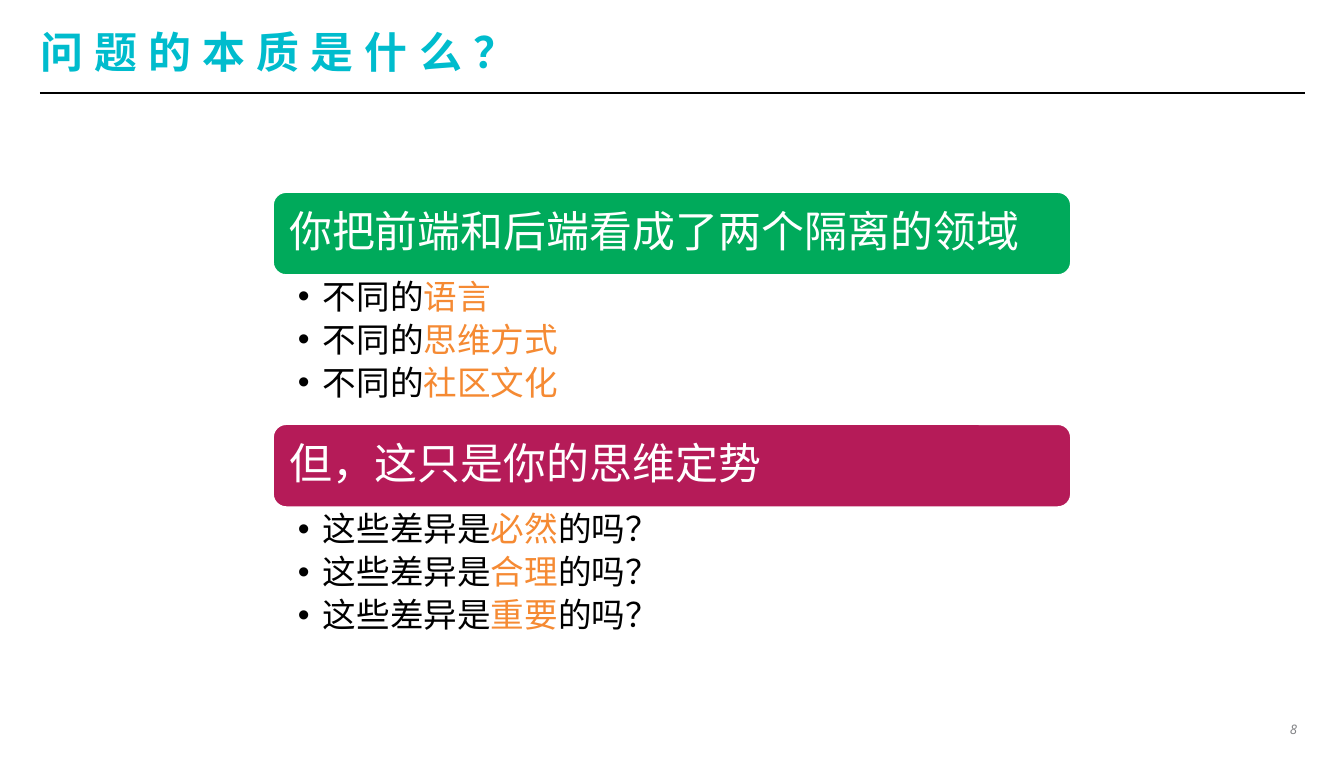
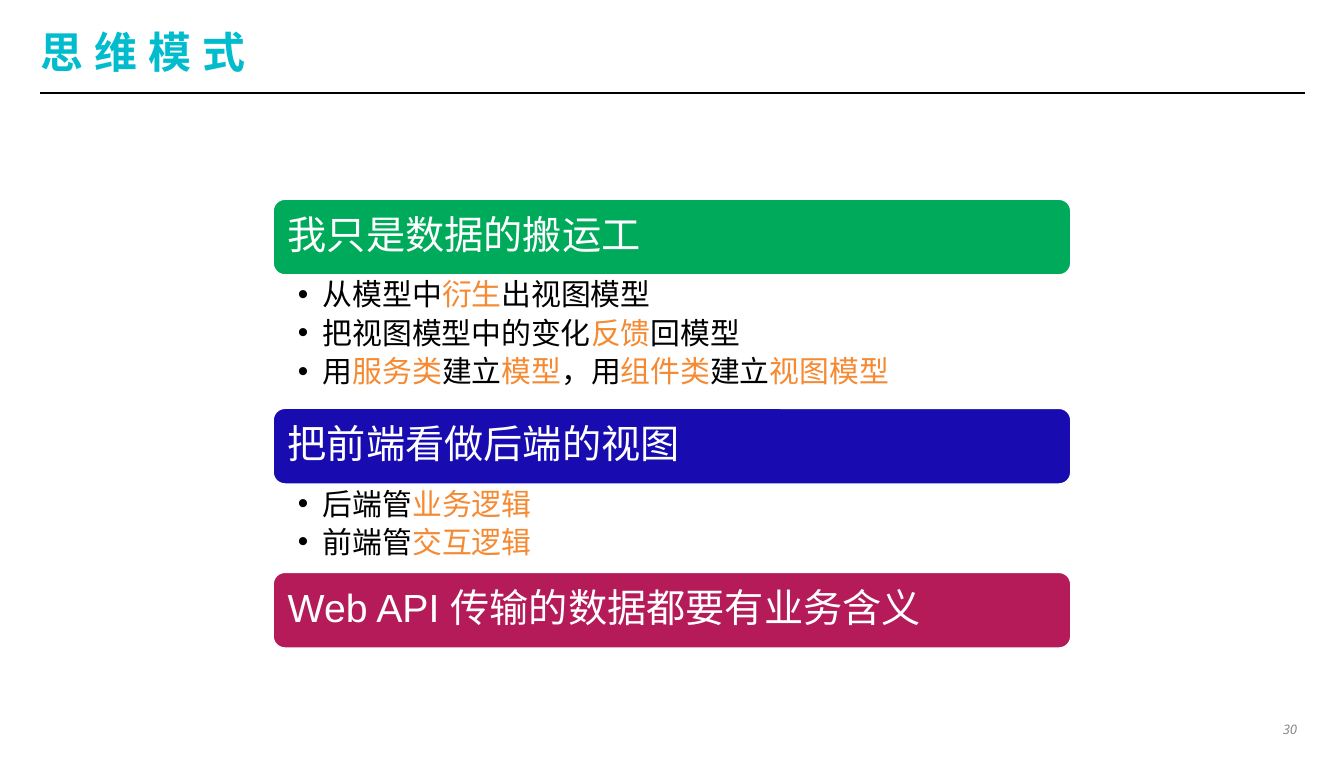
from lxml.etree import SubElement
from pptx import Presentation
from pptx.dml.color import RGBColor
from pptx.enum.shapes import MSO_CONNECTOR, MSO_SHAPE
from pptx.enum.text import MSO_ANCHOR, PP_ALIGN
from pptx.oxml.ns import qn
from pptx.util import Inches, Pt

TEAL = RGBColor(0x00, 0xBC, 0xCD)
GREEN = RGBColor(0x00, 0xAA, 0x5B)
BLUE = RGBColor(0x18, 0x0C, 0xB1)
MAGENTA = RGBColor(0xB5, 0x1B, 0x58)
ORANGE = RGBColor(0xF5, 0x8A, 0x33)
GRAY = RGBColor(0x80, 0x81, 0x84)
BLACK = RGBColor(0x00, 0x00, 0x00)
WHITE = RGBColor(0xFF, 0xFF, 0xFF)

SLIDES = [
    {
        "title": "问题的本质是什么？", "number": "8",
        "top": 191, "bar": 85, "bar_size": 23, "bar_inset": 13,
        "list_size": 18,
        "sections": [
            ("你把前端和后端看成了两个隔离的领域", GREEN, 147,
             ["不同的*语言*", "不同的*思维方式*", "不同的*社区文化*"]),
            ("但，这只是你的思维定势", MAGENTA, 147,
             ["这些差异是*必然*的吗？", "这些差异是*合理*的吗？",
              "这些差异是*重要*的吗？"]),
        ],
    },
    {
        "title": "思维模式", "number": "30",
        "top": 198, "bar": 78, "bar_size": 21, "bar_inset": 12,
        "list_size": 16,
        "sections": [
            ("我只是数据的搬运工", GREEN, 131,
             ["从模型中*衍生*出视图模型", "把视图模型中的变化*反馈*回模型",
              "用*服务类*建立*模型*，用*组件类*建立*视图模型*"]),
            ("把前端看做后端的视图", BLUE, 86,
             ["后端管*业务逻辑*", "前端管*交互逻辑*"]),
            ("Web API 传输的数据都要有业务含义", MAGENTA, 0, []),
        ],
    },
]

LEFT, BODY_WIDTH = 272, 800
INDENT = 25
TITLE_FONT = "Noto Sans CJK JP"
TITLE = {"name": TITLE_FONT, "size": Pt(23), "bold": True}
NUMBER = {"name": "Open Sans", "size": Pt(7), "italic": True}


def px(n):
    return round(n * 914400 / 134.4)


def add_run(p, text, color, fmt):
    r = p.add_run()
    r.text = text
    for key, value in fmt.items():
        setattr(r.font, key, value)
    r.font.color.rgb = color
    r.font._element.set("lang", "zh-CN")
    return r


def set_frame(tf, insets, anchor=MSO_ANCHOR.TOP):
    sides = ("left", "top", "right", "bottom")
    for side, inset in zip(sides, insets):
        setattr(tf, f"margin_{side}", px(inset))
    tf.vertical_anchor = anchor
    tf.word_wrap = True


def add_text(s, box, insets, **frame):
    tf = s.shapes.add_textbox(*map(px, box)).text_frame
    set_frame(tf, insets, **frame)
    return tf


def add_header(s, title, number):
    rule = s.shapes.add_connector(
        MSO_CONNECTOR.STRAIGHT, px(40), px(93), px(1305), px(93))
    rule.line.color.rgb = BLACK
    rule.line.width = Pt(1)
    SubElement(rule._element.spPr, qn("a:effectLst"))

    tf = add_text(s, (40, 23, 1265, 56), (0, 0, 0, 0),
                  anchor=MSO_ANCHOR.MIDDLE)
    r = add_run(tf.paragraphs[0], title, TEAL, TITLE)
    rPr = r.font._element
    rPr.set("spc", "600")
    SubElement(rPr, qn("a:ea"), typeface=TITLE_FONT)

    tf = add_text(s, (1277, 717, 28, 23), (0, 4, 8, 4))
    p = tf.paragraphs[0]
    p.alignment = PP_ALIGN.RIGHT
    add_run(p, number, GRAY, NUMBER)


def add_bar(s, top, text, color, slide):
    sp = s.shapes.add_shape(
        MSO_SHAPE.ROUNDED_RECTANGLE,
        *map(px, (LEFT, top, BODY_WIDTH, slide["bar"])))
    sp.shadow.inherit = False
    sp.fill.solid()
    sp.fill.fore_color.rgb = color
    sp.line.color.rgb = WHITE
    sp.line.width = Pt(2)
    set_frame(sp.text_frame, [slide["bar_inset"]] * 4, MSO_ANCHOR.MIDDLE)
    p = sp.text_frame.paragraphs[0]
    p.alignment = PP_ALIGN.LEFT
    p.line_spacing = 0.9
    add_run(p, text, WHITE, {"name": "Arial", "size": Pt(slide["bar_size"])})


def add_list(s, top, height, items, size):
    tf = add_text(s, (LEFT, top, BODY_WIDTH, height), (26, 4, 24, 4))
    for i, item in enumerate(items):
        p = tf.add_paragraph() if i else tf.paragraphs[0]
        p.level = 1
        pPr = p._p.get_or_add_pPr()
        pPr.set("marL", str(px(INDENT)))
        pPr.set("indent", str(-px(INDENT)))
        SubElement(pPr, qn("a:buFont"), typeface="Arial")
        SubElement(pPr, qn("a:buChar"), char="•")
        p.line_spacing = 0.9
        p.space_after = Pt(size * 0.2)
        for j, part in enumerate(item.split("*")):
            if part:
                add_run(p, part, ORANGE if j % 2 else BLACK,
                        {"name": "Arial", "size": Pt(size)})


def main():
    prs = Presentation()
    prs.slide_width, prs.slide_height = Inches(10), Inches(5.63)
    for slide in SLIDES:
        s = prs.slides.add_slide(prs.slide_layouts[6])
        add_header(s, slide["title"], slide["number"])
        top = slide["top"]
        for heading, color, height, items in slide["sections"]:
            add_bar(s, top, heading, color, slide)
            top += slide["bar"]
            if items:
                add_list(s, top, height, items, slide["list_size"])
            top += height
    prs.save("out.pptx")


if __name__ == "__main__":
    main()
